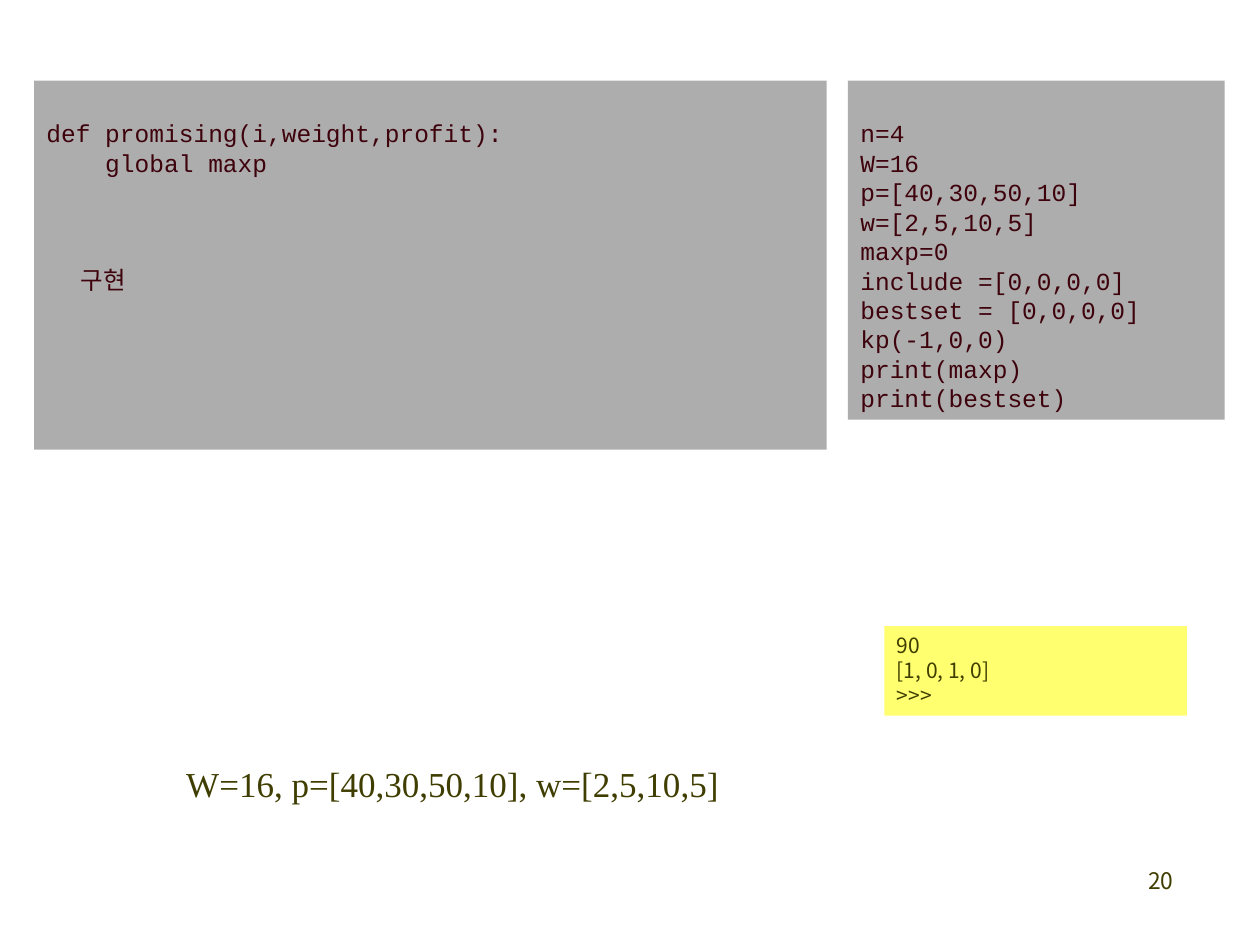
"""Build the knapsack code slide with its output and page number."""
from lxml import etree
from pptx import Presentation, util as u
from pptx.dml.color import RGBColor
from pptx.enum import shapes, text
from pptx.oxml.ns import qn

MONO, SANS, SERIF = "Courier New", "Noto Sans CJK KR", "Times New Roman"
MAROON, OLIVE, GREY, YELLOW = "3E020C", "3F3E00", "ADADAD", "FFFF70"


def colour(value):
    return RGBColor.from_string(value)


class SlideBuilder:
    def __init__(self, page):
        self.page = page

    def fill_text(self, box, lines, font, size, ink, pitch=None, align=text.PP_ALIGN.LEFT,
                  wrap=True, top=0.05):
        frame = box.text_frame
        frame.word_wrap = wrap
        frame.vertical_anchor = text.MSO_ANCHOR.TOP
        frame.margin_top = u.Inches(top)
        for index, line in enumerate(lines):
            para = frame.paragraphs[0] if index == 0 else frame.add_paragraph()
            para.text = line
            para.alignment = align
            if pitch:
                para.line_spacing = u.Pt(pitch)
            para.font.name = font
            para.font.size = u.Pt(size)
            para.font.color.rgb = colour(ink)
        return frame

    def label(self, area, line, font, size, **options):
        box = self.page.shapes.add_textbox(*map(u.Inches, area))
        return self.fill_text(box, [line], font, size, OLIVE, **options)

    def panel(self, area, fill, lines, font, size, ink, **options):
        box = self.page.shapes.add_shape(shapes.MSO_SHAPE.RECTANGLE, *map(u.Inches, area))
        box.shadow.inherit = False
        box.fill.solid()
        box.fill.fore_color.rgb = colour(fill)
        box.line.fill.background()
        return self.fill_text(box, lines, font, size, ink, **options)

    def code(self, area, lines):
        return self.panel(area, GREY, lines, MONO, 14, MAROON, pitch=16.8, top=0.3)

    def note(self, para, indent, gap):
        para.space_before = u.Pt(gap)
        properties = para._p.get_or_add_pPr()
        properties.set("marL", str(u.Inches(indent)))
        properties.set("indent", "0")
        para.font.name = SANS
        for span in para.runs:
            span.font.name = SANS
            etree.SubElement(span._r.get_or_add_rPr(), qn("a:ea"), typeface=SANS)


def main():
    deck = Presentation()
    deck.slide_width, deck.slide_height = u.Inches(10), u.Inches(7.5)
    builder = SlideBuilder(deck.slides.add_slide(deck.slide_layouts[6]))

    builder.label((7.33, 6.83, 2.08, 0.5), "20", SANS, 13, align=text.PP_ALIGN.RIGHT)
    promising = builder.code((0.27, 0.64, 6.29, 2.93), [
        "def promising(i,weight,profit):",
        "    global maxp",
        "구현",
    ])
    builder.note(promising.paragraphs[-1], indent=0.27, gap=50)
    builder.code((6.73, 0.64, 2.99, 2.69), [
        "n=4",
        "W=16",
        "p=[40,30,50,10]",
        "w=[2,5,10,5]",
        "maxp=0",
        "include =[0,0,0,0]",
        "bestset = [0,0,0,0]",
        "kp(-1,0,0)",
        "print(maxp)",
        "print(bestset)",
    ])
    builder.label((1.38, 5.95, 4.46, 0.49), "W=16, p=[40,30,50,10], w=[2,5,10,5]", SERIF, 20,
                  pitch=28, wrap=False)
    builder.panel((7.02, 4.97, 2.4, 0.71), YELLOW, ["90", "[1, 0, 1, 0]", ">>>"],
                  SANS, 12, OLIVE, pitch=14.4)
    deck.save("out.pptx")


if __name__ == "__main__":
    main()
